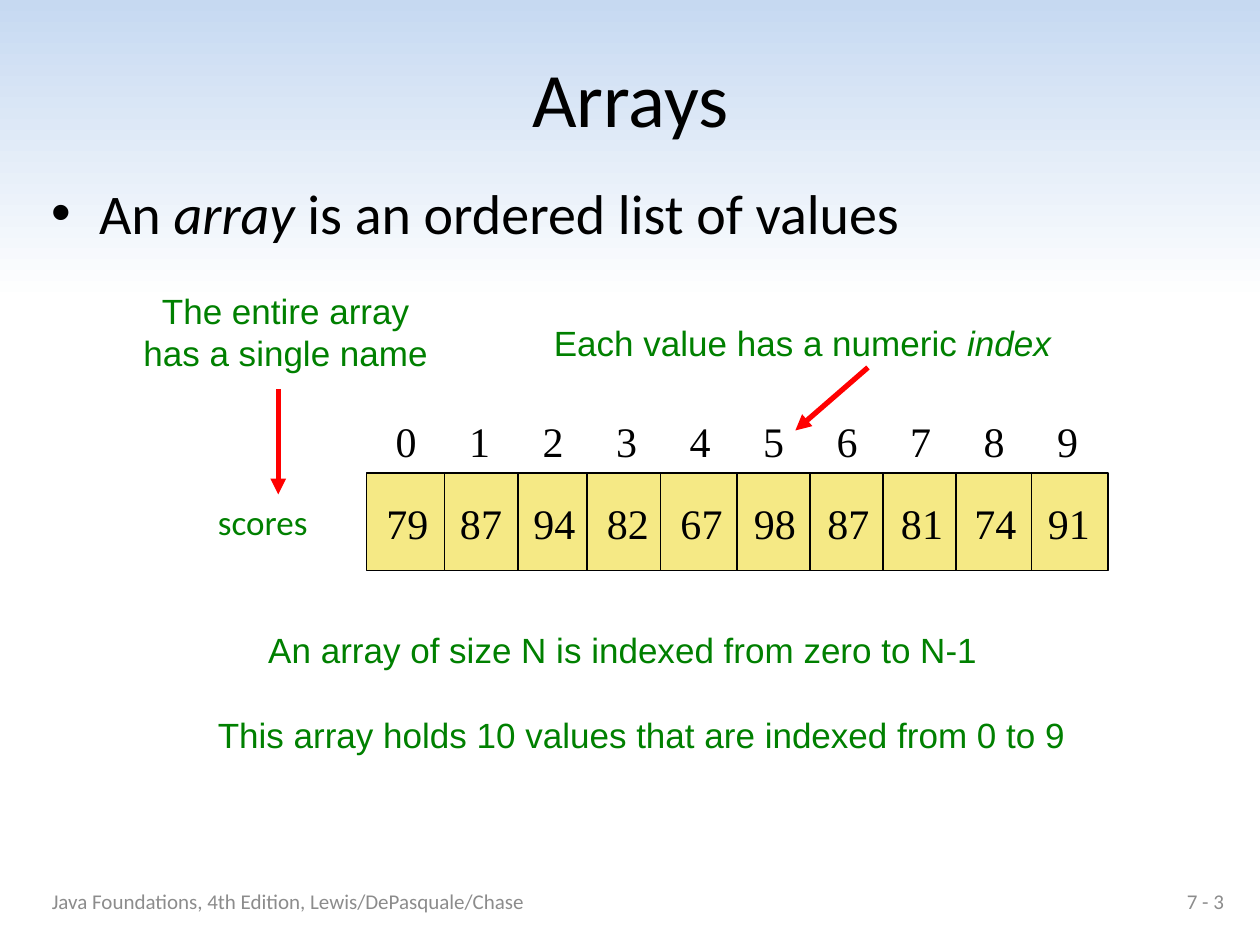
from lxml import etree
from pptx import Presentation
from pptx.dml.color import RGBColor
from pptx.enum import shapes, text
from pptx.oxml import ns
from pptx.util import Pt

BLACK = RGBColor(0x00, 0x00, 0x00)
WHITE = RGBColor(0xFF, 0xFF, 0xFF)
SKY = RGBColor(0xC6, 0xD9, 0xF1)
CELL_YELLOW = RGBColor(0xF5, 0xE9, 0x85)
GREEN = RGBColor(0x00, 0x80, 0x00)
RED = RGBColor(0xFF, 0x00, 0x00)
GRAY = RGBColor(0x8C, 0x8C, 0x8C)

LEFT, CENTER, RIGHT = text.PP_ALIGN.LEFT, text.PP_ALIGN.CENTER, text.PP_ALIGN.RIGHT
TOP, MIDDLE = text.MSO_ANCHOR.TOP, text.MSO_ANCHOR.MIDDLE

SCORES = (79, 87, 94, 82, 67, 98, 87, 81, 74, 91)
CELL_PITCH = 42
CELL_TOP, CELL_HEIGHT = 270.5, 55.5
INNER_CELL_LEFTS = (254, 335.5, 421, 504.5)


def paint_background(slide):
    fill = slide.background.fill
    fill.gradient()
    fill.gradient_angle = 90
    for stop, position, color in zip(fill.gradient_stops, (0.68, 1), (WHITE, SKY)):
        stop.position = position
        stop.color.rgb = color


def place(shape, box):
    shape.left, shape.top, shape.width, shape.height = map(Pt, box)


def write_runs(paragraph, runs, font, size, color):
    for words, italic in runs:
        run = paragraph.add_run()
        run.text = words
        run.font.name = font
        run.font.size = Pt(size)
        run.font.italic = italic
        run.font.color.rgb = color


def add_title(slide, words):
    title = slide.shapes.title
    place(title, (13.5, 21.5, 693.5, 67.5))
    title.text_frame.vertical_anchor = MIDDLE
    paragraph = title.text_frame.paragraphs[0]
    paragraph.alignment = CENTER
    write_runs(paragraph, [(words, False)], "Calibri", 44, BLACK)


def add_text(slide, box, lines, font="Arial", size=20, color=GREEN, align=CENTER, anchor=TOP):
    shape = slide.shapes.add_textbox(*map(Pt, box))
    frame = shape.text_frame
    frame.word_wrap = True
    frame.vertical_anchor = anchor
    for number, runs in enumerate(lines):
        paragraph = frame.add_paragraph() if number else frame.paragraphs[0]
        paragraph.alignment = align
        write_runs(paragraph, runs, font, size, color)
    return frame.paragraphs[0]


def add_bullet(paragraph, indent):
    properties = paragraph._p.get_or_add_pPr()
    properties.set("marL", str(Pt(indent)))
    properties.set("indent", str(Pt(-indent)))
    etree.SubElement(properties, ns.qn("a:buFont"), typeface="Arial")
    etree.SubElement(properties, ns.qn("a:buChar"), char="•")


def add_number_row(slide, left, top, numbers):
    row = "\t".join(map(str, numbers))
    paragraph = add_text(slide, (left, top, 420, 36), [[(row, False)]],
                         "Times New Roman", 24, BLACK, LEFT)
    tabs = etree.SubElement(paragraph._p.get_or_add_pPr(), ns.qn("a:tabLst"))
    for column in range(1, len(numbers)):
        etree.SubElement(tabs, ns.qn("a:tab"), pos=str(Pt(CELL_PITCH * column)), algn="l")


def add_cell(slide, left, width):
    cell = slide.shapes.add_shape(shapes.MSO_SHAPE.RECTANGLE, Pt(left), Pt(CELL_TOP),
                                  Pt(width), Pt(CELL_HEIGHT))
    cell.shadow.inherit = False
    cell.fill.solid()
    cell.fill.fore_color.rgb = CELL_YELLOW
    cell.line.color.rgb = BLACK
    cell.line.width = Pt(1)


def add_line(slide, start, end, color, width, arrow=False):
    line = slide.shapes.add_connector(shapes.MSO_CONNECTOR.STRAIGHT, *map(Pt, start + end))
    line.line.color.rgb = color
    line.line.width = Pt(width)
    if arrow:
        etree.SubElement(line.line._get_or_add_ln(), ns.qn("a:tailEnd"), type="triangle")
    etree.SubElement(line._element.spPr, ns.qn("a:effectLst"))


def add_score_array(slide):
    add_number_row(slide, 219, 234, range(len(SCORES)))
    add_cell(slide, 209.5, 423.5)
    for left in INNER_CELL_LEFTS:
        add_cell(slide, left, CELL_PITCH)
    add_line(slide, (589.5, CELL_TOP), (589.5, CELL_TOP + CELL_HEIGHT), BLACK, 1)
    add_number_row(slide, 213.75, 281, SCORES)


def main():
    presentation = Presentation()
    presentation.slide_width, presentation.slide_height = Pt(720), Pt(540)
    slide = presentation.slides.add_slide(presentation.slide_layouts[5])
    paint_background(slide)
    add_title(slide, "Arrays")
    definition = add_text(
        slide, (22.5, 98.5, 684.5, 402),
        [[("An ", False), ("array", True), (" is an ordered list of values", False)]],
        "Calibri", 32, BLACK, LEFT)
    add_bullet(definition, 27)

    add_score_array(slide)
    add_text(slide, (133, 355.5, 446, 31),
             [[("An array of size N is indexed from zero to N-1", False)]])
    add_text(slide, (117.5, 282.5, 86.5, 31), [[("scores", False)]], "Calibri", align=LEFT)
    add_text(slide, (70, 162, 186.5, 55.5),
             [[("The entire array", False)], [("has a single name", False)]])
    add_line(slide, (159, 222.5), (159, 282.5), RED, 3, arrow=True)
    add_text(slide, (300, 180, 317, 31),
             [[("Each value has a numeric ", False), ("index", True)]])
    add_line(slide, (496, 210), (454.5, 246), RED, 3, arrow=True)
    add_text(slide, (101, 404, 531.5, 31),
             [[("This array holds 10 values that are indexed from 0 to 9", False)]])

    add_text(slide, (538.5, 500.5, 168, 29), [[("7 - 3", False)]],
             "Calibri", 12, GRAY, RIGHT, MIDDLE)
    add_text(slide, (22.5, 500.5, 516, 29),
             [[("Java Foundations, 4th Edition, Lewis/DePasquale/Chase", False)]],
             "Calibri", 12, GRAY, LEFT, MIDDLE)
    presentation.save("out.pptx")


if __name__ == "__main__":
    main()
